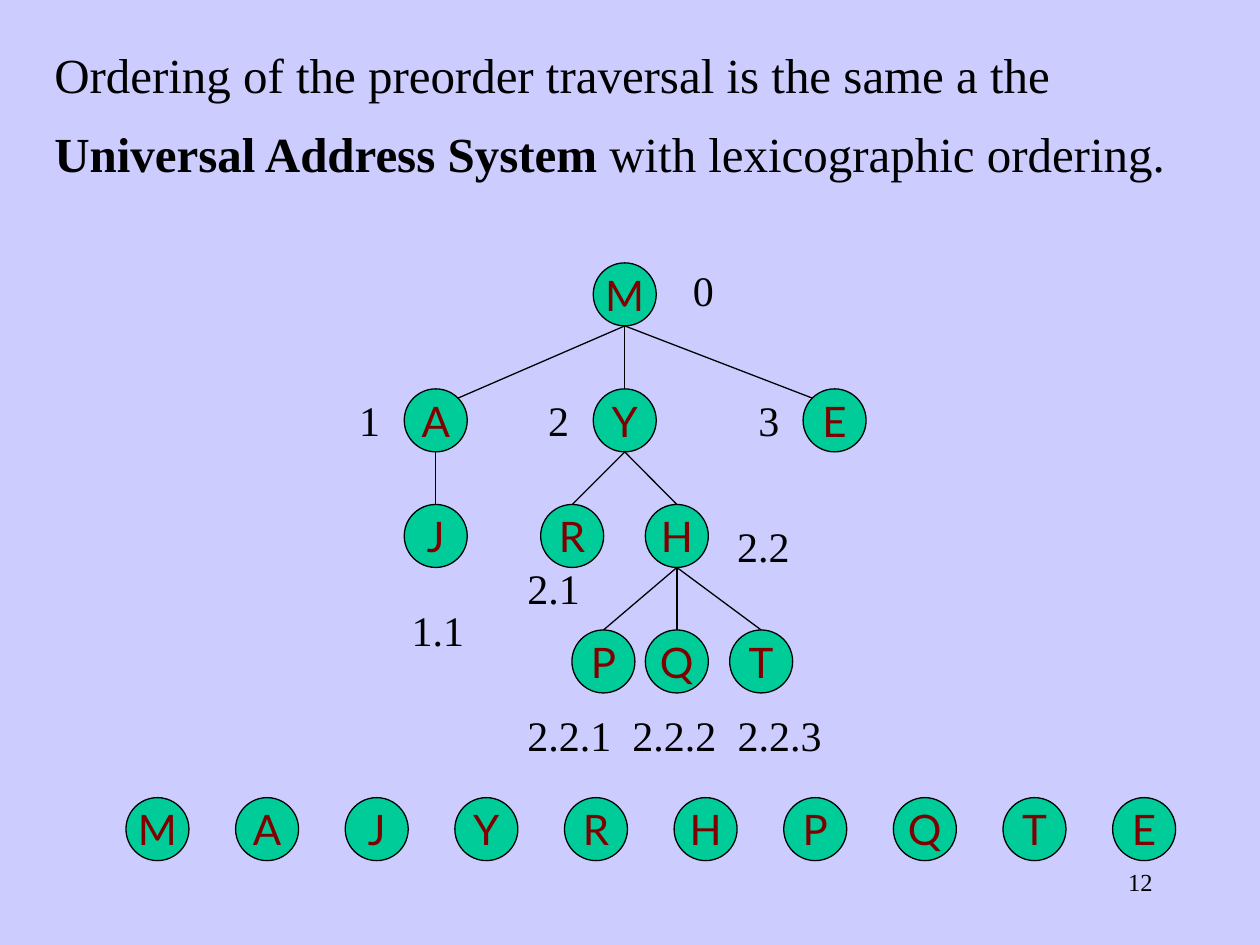
from dataclasses import dataclass
from math import sqrt

from lxml.etree import SubElement
from pptx import Presentation
from pptx.dml.color import RGBColor
from pptx.enum.shapes import MSO_CONNECTOR, MSO_SHAPE
from pptx.enum.text import MSO_ANCHOR, MSO_AUTO_SIZE, PP_ALIGN
from pptx.oxml.ns import qn
from pptx.util import Cm, Pt

SERIF, SANS = "Times New Roman", "Lato"
BLACK, MAROON, GREEN, LAVENDER = "000000", "800000", "00CC99", "CCCCFF"
DIAMETER = 1.27
ROW_LEFT, ROW_TOP, ROW_PITCH = 2.54, 16.08, 2.21
LABEL_TAB = 2.12


@dataclass(frozen=True)
class Node:
    letter: str
    left: float
    top: float
    parent: str = ""

    @property
    def center(self) -> float:
        return self.left + DIAMETER / 2


@dataclass(frozen=True)
class Label:
    text: str
    left: float
    top: float
    width: float


# The nodes stand in preorder, so the bottom row takes its order from them.
NODES = [
    Node("M", 11.96, 5.3),
    Node("A", 8.15, 7.84, "M"),
    Node("J", 8.15, 10.17, "A"),
    Node("Y", 11.96, 7.84, "M"),
    Node("R", 10.9, 10.17, "Y"),
    Node("H", 13.01, 10.17, "Y"),
    Node("P", 11.53, 12.7, "H"),
    Node("Q", 13.01, 12.7, "H"),
    Node("T", 14.71, 12.7, "H"),
    Node("E", 16.19, 7.84, "M"),
]

LABELS = [
    Label("0", 13.72, 5.21, 0.91),
    Label("1", 6.99, 7.82, 0.91),
    Label("2", 10.8, 7.82, 0.91),
    Label("3", 15.04, 7.82, 0.91),
    Label("1.1", 8.05, 12.07, 1.56),
    Label("2.1", 10.38, 11.22, 1.56),
    Label("2.2", 14.61, 10.36, 1.56),
    Label("2.2.1\t2.2.2\t2.2.3", 10.38, 14.17, 6.43),
]


def color(value: str) -> RGBColor:
    return RGBColor.from_string(value)


def add_span(para, text: str, *, size: float, font: str = SERIF,
             ink: str = BLACK, bold: bool = False) -> None:
    span = para.add_run()
    span.text = text
    span.font.size = Pt(size)
    span.font.name = font
    span.font.bold = bold
    span.font.color.rgb = color(ink)


def add_circle(shapes, letter: str, left: float, top: float) -> None:
    circle = shapes.add_shape(MSO_SHAPE.OVAL, Cm(left), Cm(top),
                              Cm(DIAMETER), Cm(DIAMETER))
    circle.shadow.inherit = False
    circle.fill.solid()
    circle.fill.fore_color.rgb = color(GREEN)
    circle.line.color.rgb = color(BLACK)
    circle.line.width = Pt(0.75)
    frame = circle.text_frame
    frame.word_wrap = False
    frame.vertical_anchor = MSO_ANCHOR.MIDDLE
    para = frame.paragraphs[0]
    para.alignment = PP_ALIGN.CENTER
    add_span(para, letter, size=24, font=SANS, ink=MAROON)


def add_branch(shapes, parent: Node, child: Node) -> None:
    """Join the parent's bottom to the child's top, or to its near shoulder if far aside."""
    end_x, end_y = child.center, child.top
    aside = parent.center - child.center
    if abs(aside) > 2 * DIAMETER:
        shoulder = DIAMETER / 2 / sqrt(2)
        end_x += shoulder if aside > 0 else -shoulder
        end_y += DIAMETER / 2 - shoulder
    branch = shapes.add_connector(
        MSO_CONNECTOR.STRAIGHT, Cm(parent.center), Cm(parent.top + DIAMETER),
        Cm(end_x), Cm(end_y))
    branch.line.color.rgb = color(BLACK)
    branch.line.width = Pt(0.75)
    SubElement(branch.element.spPr, qn("a:effectLst"))


def add_text(page, label: Label, *, size: float = 24,
             align: PP_ALIGN = PP_ALIGN.LEFT, margin_right: float = 0) -> None:
    """Add one line of text; without a right margin it has room to stay on one line."""
    box = page.shapes.add_textbox(Cm(label.left), Cm(label.top),
                                  Cm(label.width), Cm(1.27))
    frame = box.text_frame
    frame.word_wrap = True
    frame.auto_size = MSO_AUTO_SIZE.NONE
    frame.margin_right = Cm(margin_right)
    para = frame.paragraphs[0]
    para.alignment = align
    add_span(para, label.text, size=size)
    tabs = label.text.count("\t")
    if tabs:
        stops = SubElement(para._p.get_or_add_pPr(), qn("a:tabLst"))
        for number in range(1, tabs + 1):
            SubElement(stops, qn("a:tab"), pos=str(Cm(number * LABEL_TAB)), algn="l")


def format_title(title) -> None:
    title.left, title.top, title.width, title.height = Cm(0.84), Cm(0.42), Cm(23.5), Cm(3.81)
    frame = title.text_frame
    frame.word_wrap = True
    frame.auto_size = MSO_AUTO_SIZE.NONE
    frame.vertical_anchor = MSO_ANCHOR.MIDDLE
    frame.margin_bottom = Cm(0.6)
    para = frame.paragraphs[0]
    para.alignment = PP_ALIGN.LEFT
    para.line_spacing = Pt(45)
    add_span(para, "Ordering of the preorder traversal is the same a the ", size=28)
    add_span(para, "Universal Address System", size=28, bold=True)
    add_span(para, " with lexicographic ordering.", size=28)


def main() -> None:
    deck = Presentation()
    deck.slide_width, deck.slide_height = Cm(25.4), Cm(19.05)
    page = deck.slides.add_slide(deck.slide_layouts[5])
    page.background.fill.solid()
    page.background.fill.fore_color.rgb = color(LAVENDER)

    add_text(page, Label("12", 18.21, 17.35, 5.28), size=14,
             align=PP_ALIGN.RIGHT, margin_right=0.25)
    format_title(page.shapes.title)

    for index, node in enumerate(NODES):
        add_circle(page.shapes, node.letter, ROW_LEFT + index * ROW_PITCH, ROW_TOP)

    tree = page.shapes.add_group_shape().shapes
    by_letter = {node.letter: node for node in NODES}
    for node in NODES:
        add_circle(tree, node.letter, node.left, node.top)
        if node.parent:
            add_branch(tree, by_letter[node.parent], node)

    for label in LABELS:
        add_text(page, label)

    deck.save("out.pptx")


if __name__ == "__main__":
    main()
